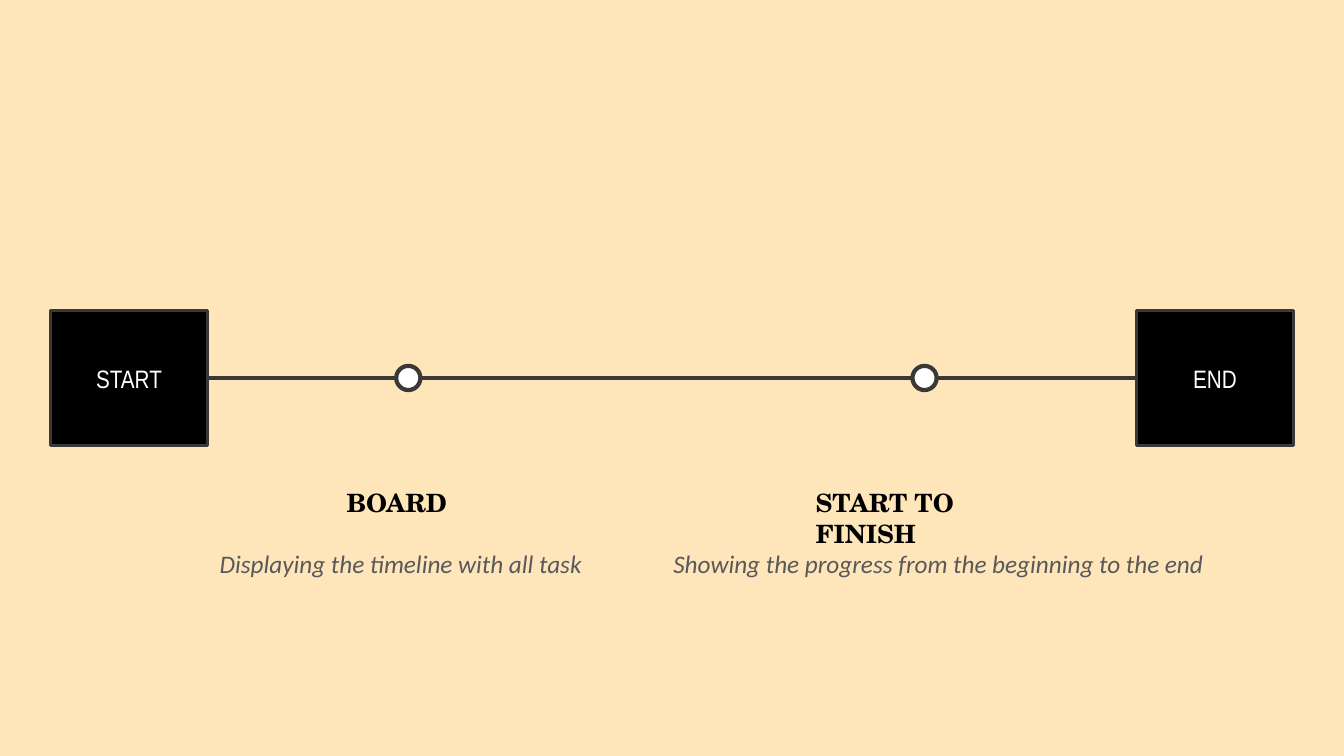
from dataclasses import dataclass

import pptx
import pptx.dml.color
import pptx.enum.shapes
import pptx.enum.text
import pptx.oxml.ns
import pptx.util
from lxml import etree

Inches = pptx.util.Inches
Pt = pptx.util.Pt
Kind = pptx.enum.shapes.MSO_SHAPE

COLORS = {
    "sand": "FEE5BA",
    "black": "000000",
    "white": "FFFFFF",
    "slate": "3B3838",
    "gray": "595959",
}
HEAD = {"name": "TeX Gyre Schola", "size": Pt(18), "bold": True}
BODY = {"name": "Calibri", "size": Pt(18), "italic": True}
CARD = {"name": "Arial Narrow", "size": Pt(18)}

AXIS = 3.75
BOX_W, BOX_H = 1.56, 1.34
DOT = 0.24


@dataclass
class End:
    text: str
    left: float


@dataclass
class Step:
    dot: float
    title: str
    title_left: float
    title_width: float
    note: str
    note_left: float
    note_width: float


ENDS = [End("START", 0.5), End("END", 11.27)]
STEPS = [
    Step(3.93, "BOARD", 3.34, 1.33,
         "Displaying the timeline with all task", 2.08, 3.86),
    Step(9.05, "START TO FINISH", 7.99, 2.59,
         "Showing the progress from the beginning to the end", 6.58, 5.48),
]


def rgb(name: str) -> pptx.dml.color.RGBColor:
    return pptx.dml.color.RGBColor.from_string(COLORS[name])


def write(frame, text: str, style: dict, color: str):
    """Put text in the frame's first paragraph and return the paragraph."""
    para = frame.paragraphs[0]
    run = para.add_run()
    run.text = text
    for key, value in style.items():
        setattr(run.font, key, value)
    run.font.color.rgb = rgb(color)
    return para


def add_form(slide, kind, left: float, width: float, height: float,
             fill: str, weight: float):
    """Add a filled, outlined shape centred on the axis."""
    form = slide.shapes.add_shape(
        kind, Inches(left), Inches(AXIS - height / 2),
        Inches(width), Inches(height))
    form.shadow.inherit = False
    form.fill.solid()
    form.fill.fore_color.rgb = rgb(fill)
    form.line.color.rgb = rgb("slate")
    form.line.width = Pt(weight)
    return form


def add_end(slide, end: End):
    box = add_form(slide, Kind.RECTANGLE, end.left, BOX_W, BOX_H, "black", 2.5)
    box.text_frame.vertical_anchor = pptx.enum.text.MSO_ANCHOR.MIDDLE
    para = write(box.text_frame, end.text, CARD, "white")
    para.alignment = pptx.enum.text.PP_ALIGN.CENTER
    return box


def add_axis(slide, start, end) -> None:
    line = slide.shapes.add_connector(
        pptx.enum.shapes.MSO_CONNECTOR.STRAIGHT, 0, 0, 0, 0)
    line.begin_connect(start, 3)
    line.end_connect(end, 1)
    line.line.color.rgb = rgb("slate")
    line.line.width = Pt(2.75)
    etree.SubElement(line._element.spPr, pptx.oxml.ns.qn("a:effectLst"))


def add_label(slide, text: str, left: float, top: float, width: float,
              style: dict, color: str) -> None:
    frame = slide.shapes.add_textbox(
        Inches(left), Inches(top), Inches(width), Inches(0.4)).text_frame
    frame.word_wrap = True
    frame.auto_size = pptx.enum.text.MSO_AUTO_SIZE.SHAPE_TO_FIT_TEXT
    write(frame, text, style, color)


def add_step(slide, step: Step) -> None:
    add_form(slide, Kind.OVAL, step.dot, DOT, DOT, "white", 3)
    add_label(slide, step.title, step.title_left, 4.79, step.title_width,
              HEAD, "black")
    add_label(slide, step.note, step.note_left, 5.39, step.note_width,
              BODY, "gray")


def main() -> None:
    deck = pptx.Presentation()
    deck.slide_width, deck.slide_height = Inches(13.33), Inches(7.5)
    slide = deck.slides.add_slide(deck.slide_layouts[6])
    slide.background.fill.solid()
    slide.background.fill.fore_color.rgb = rgb("sand")

    start, end = [add_end(slide, item) for item in ENDS]
    add_axis(slide, start, end)
    for step in STEPS:
        add_step(slide, step)
    deck.save("out.pptx")


if __name__ == "__main__":
    main()
